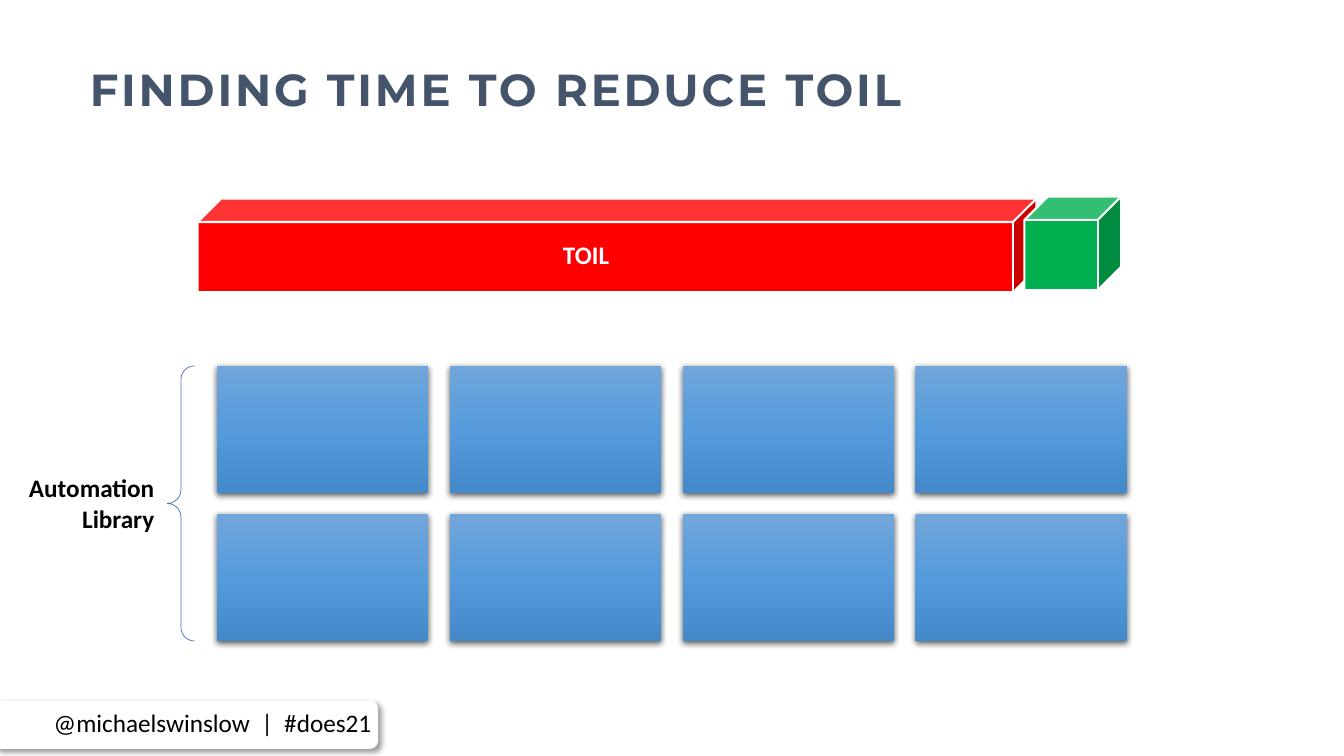
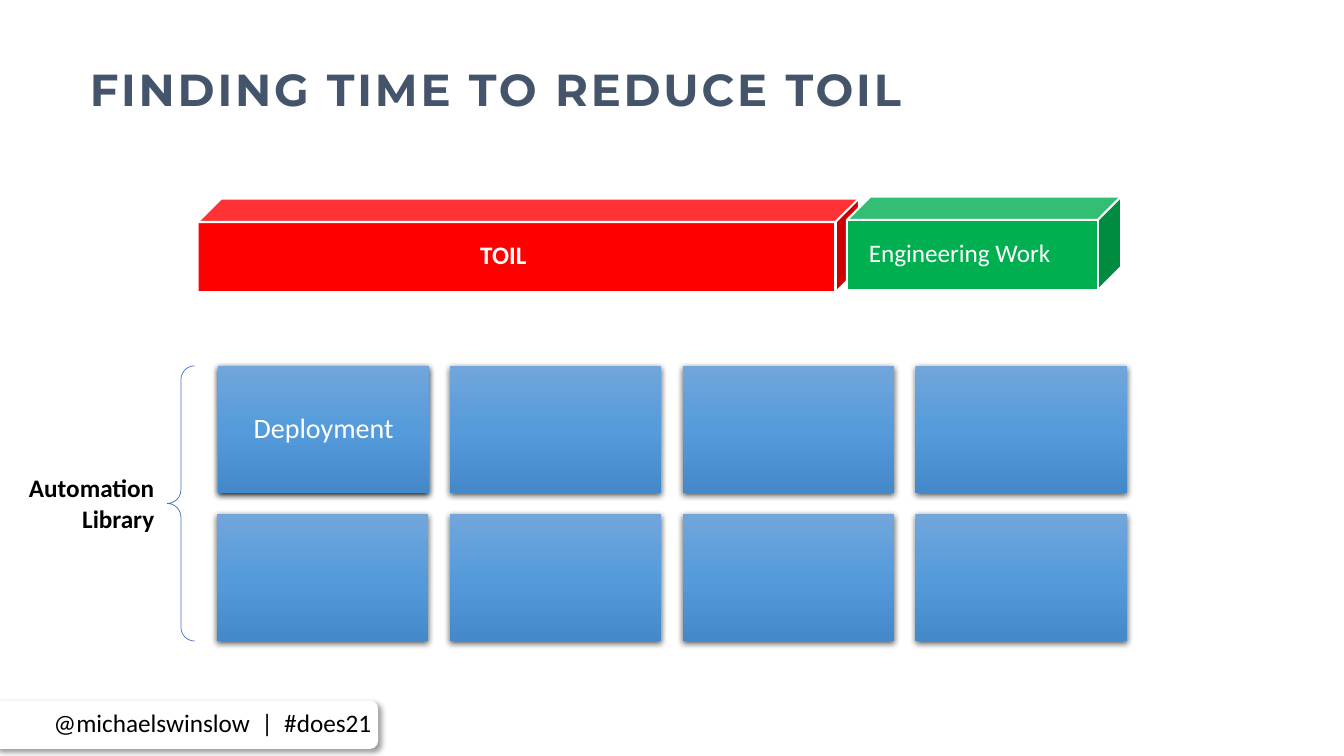
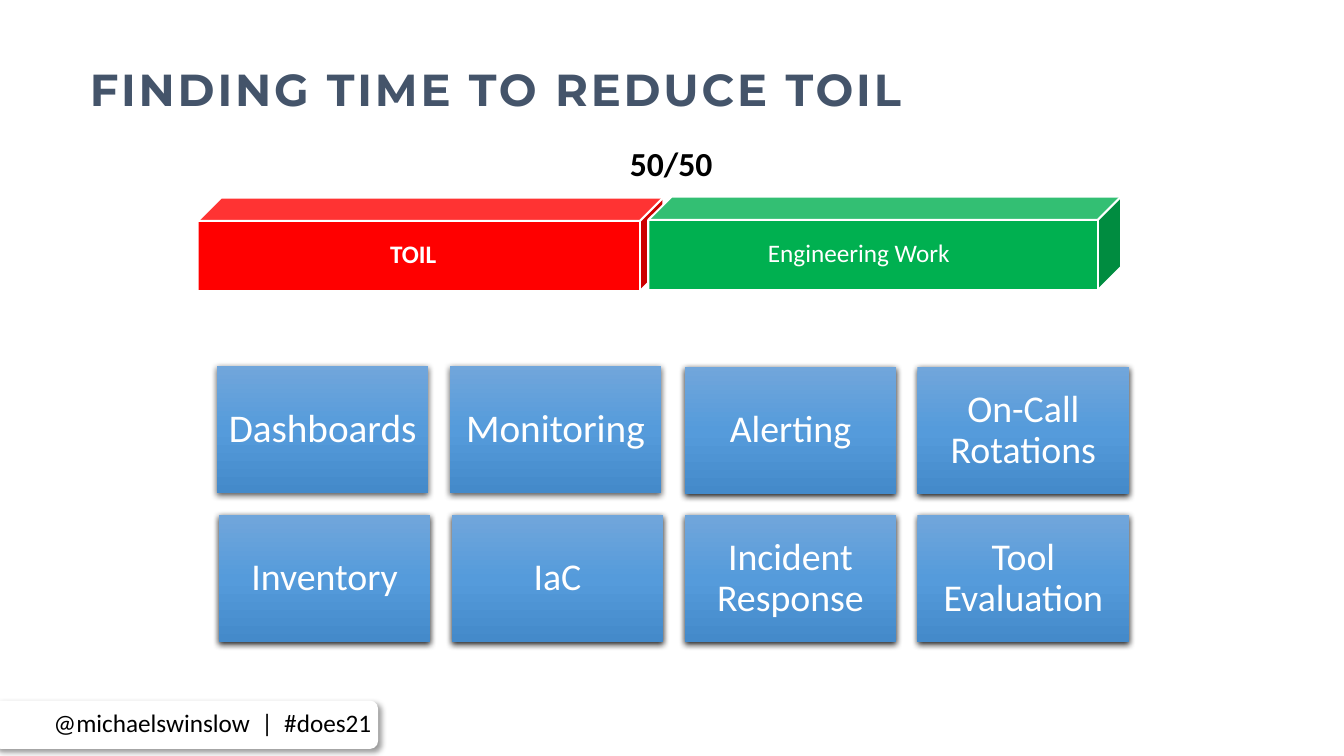
from copy import deepcopy

from pptx import Presentation
from pptx.dml.color import RGBColor
from pptx.enum.shapes import MSO_SHAPE
from pptx.enum.text import MSO_ANCHOR, MSO_AUTO_SIZE, PP_ALIGN
from pptx.oxml import parse_xml
from pptx.oxml.ns import nsdecls, qn
from pptx.util import Emu, Pt

# Colours
WHITE = RGBColor(0xFF, 0xFF, 0xFF)
BLACK = RGBColor(0x00, 0x00, 0x00)
SLATE = RGBColor(0x44, 0x54, 0x6A)
RED = RGBColor(0xFF, 0x00, 0x00)
GREEN = RGBColor(0x00, 0xB0, 0x50)
BRACE_BLUE = RGBColor(0x44, 0x72, 0xC4)
TILE_STOPS = [
    (0, RGBColor(0x71, 0xA6, 0xDB)),
    (0.5, RGBColor(0x55, 0x9B, 0xDB)),
    (1, RGBColor(0x44, 0x8A, 0xCA)),
]

# Text formats
TITLE = dict(name="Montserrat", size=Pt(32), bold=True)
BODY = dict(name="Calibri", size=Pt(18), bold=False)
STRONG = BODY | dict(bold=True)

# Layout in px, 100 to the inch
SCALE = 9144
BAR_LEFT, BAR_RIGHT, BAR_HEIGHT = 196, 1112, 93
TILE_LEFT, TILE_TOP, TILE_W, TILE_H = 215, 363, 210, 126
TILE_STEP_X, TILE_STEP_Y, COLUMNS = 231, 147, 4


def px(n):
    return Emu(n * SCALE)


class Deck:
    def __init__(self):
        self.prs = Presentation()
        self.prs.slide_width, self.prs.slide_height = px(1333), px(750)

    def new_slide(self, title):
        self.s = self.prs.slides.add_slide(self.prs.slide_layouts[5])
        sp = self.s.shapes.title
        sp.left, sp.top, sp.width, sp.height = map(px, (89, 48, 1150, 84))
        self.set_text(sp, [title], TITLE, SLATE, PP_ALIGN.LEFT, margins=(0, 0, 0, 0))
        p = sp.text_frame.paragraphs[0]
        p.line_spacing = Pt(36)
        p.runs[0].font._element.set("spc", "200")

    def set_text(self, sp, lines, style, color, align, margins=(10, 5, 10, 5),
                 anchor=MSO_ANCHOR.MIDDLE, wrap=True, spacing=None):
        tf = sp.text_frame
        left, top, right, bottom = map(px, margins)
        frame = dict(auto_size=MSO_AUTO_SIZE.NONE, word_wrap=wrap, vertical_anchor=anchor,
                     margin_left=left, margin_top=top, margin_right=right, margin_bottom=bottom)
        for name, value in frame.items():
            setattr(tf, name, value)
        for i, line in enumerate(lines):
            p = tf.add_paragraph() if i else tf.paragraphs[0]
            p.alignment, p.line_spacing = align, spacing
            r = p.add_run()
            r.text = line
            for name, value in style.items():
                setattr(r.font, name, value)
            r.font.color.rgb = color

    def shape(self, kind, box, fill=None, line=None, weight=1.5):
        sp = self.s.shapes.add_shape(kind, *map(px, box))
        sp.shadow.inherit = False
        if fill is None:
            sp.fill.background()
        else:
            sp.fill.solid()
            sp.fill.fore_color.rgb = fill
        if line is None:
            sp.line.fill.background()
        else:
            sp.line.color.rgb = line
            sp.line.width = Pt(weight)
        return sp

    def drop_shadow(self, sp, alpha, blur, dist, angle):
        sp._element.spPr.find(qn("a:effectLst")).append(parse_xml(
            f'<a:outerShdw {nsdecls("a")} blurRad="{Pt(blur)}" dist="{Pt(dist)}" '
            f'dir="{angle * 60000}" algn="ctr" rotWithShape="0"><a:srgbClr val="000000">'
            f'<a:alpha val="{alpha * 1000}"/></a:srgbClr></a:outerShdw>'))

    def label(self, box, lines, style, align):
        sp = self.s.shapes.add_textbox(*map(px, box))
        self.set_text(sp, lines, style, BLACK, align, anchor=MSO_ANCHOR.TOP, wrap=False)

    def bar(self, left, top, width, color, text, style, text_width):
        sp = self.shape(MSO_SHAPE.CUBE, (left, top, width, BAR_HEIGHT), color, WHITE)
        if text:
            face = width - BAR_HEIGHT // 4
            self.set_text(sp, [text], style, WHITE, PP_ALIGN.CENTER,
                          (10, 17, 10 + face - text_width, 0), MSO_ANCHOR.TOP)

    def tile(self, index, text="", size=28, shift=(0, 0)):
        row, col = divmod(index, COLUMNS)
        sp = self.shape(MSO_SHAPE.RECTANGLE, (
            TILE_LEFT + col * TILE_STEP_X + shift[0],
            TILE_TOP + row * TILE_STEP_Y + shift[1], TILE_W, TILE_H))
        sp.fill.gradient()
        sp.fill.gradient_angle = 270
        stops = sp._element.spPr.find(".//" + qn("a:gsLst"))
        stops.append(deepcopy(stops[0]))
        for stop, (position, color) in zip(sp.fill.gradient_stops, TILE_STOPS):
            stop.position = position
            stop.color.rgb = color
        # Raised tiles cast a darker shadow
        self.drop_shadow(sp, 86 if any(shift) else 63, 4.5, 1.5, 90)
        if text:
            self.set_text(sp, [text], BODY | dict(size=Pt(size)), WHITE, PP_ALIGN.CENTER,
                          (10, 10, 10, 10), spacing=0.9)

    def library_brace(self):
        sp = self.shape(MSO_SHAPE.LEFT_BRACE, (166, 363, 27, 273), line=BRACE_BLUE, weight=0.5)
        sp.adjustments[0] = 0.5
        self.label((17, 464, 146, 71), ["Automation", "Library"], STRONG, PP_ALIGN.RIGHT)

    def footer(self):
        sp = self.shape(MSO_SHAPE.ROUNDED_RECTANGLE, (-7, 695, 382, 48), WHITE)
        self.drop_shadow(sp, 40, 4, 3, 45)
        self.set_text(sp, ["@michaelswinslow  |  #does21"], BODY, BLACK, PP_ALIGN.LEFT,
                      (58, 0, 0, 4), wrap=False)


# Per slide: red bar (top, width, text width), green bar (width, text, text width),
# tiles by position (text, size, shift), and whether the library brace shows
RAISED = (2, 1)
SLIDES = [
    dict(toil=(197, 832, 771), work=(96, "", 0), tiles={}, brace=True),
    dict(toil=(197, 656, 607), work=(272, "Engineering Work", 224),
         tiles={0: ("Deployment", 20, (1, 0))}, brace=True),
    dict(toil=(196, 462, 428), work=(469, "Engineering Work", 418),
         tiles=dict(enumerate([
             ("Dashboards", 28), ("Monitoring", 28),
             ("Alerting", 27, RAISED), ("On-Call Rotations", 27, RAISED),
             ("Inventory", 27, RAISED), ("IaC", 27, RAISED),
             ("Incident Response", 27, RAISED), ("Tool Evaluation", 27, RAISED),
         ])), brace=False),
]


def main():
    deck = Deck()
    for content in SLIDES:
        deck.new_slide("FINDING TIME TO REDUCE TOIL")
        # Time split
        top, width, text_width = content["toil"]
        deck.bar(BAR_LEFT, top, width, RED, "TOIL", STRONG, text_width)
        width, text, text_width = content["work"]
        deck.bar(BAR_RIGHT - width, 195, width, GREEN, text, BODY, text_width)
        # Automation library
        for i in range(2 * COLUMNS):
            deck.tile(i, *content["tiles"].get(i, ()))
        if content["brace"]:
            deck.library_brace()
        else:
            deck.label((615, 137, 103, 50), ["50/50"], STRONG | dict(size=Pt(24)), PP_ALIGN.LEFT)
        deck.footer()
    deck.prs.save("out.pptx")


if __name__ == "__main__":
    main()
